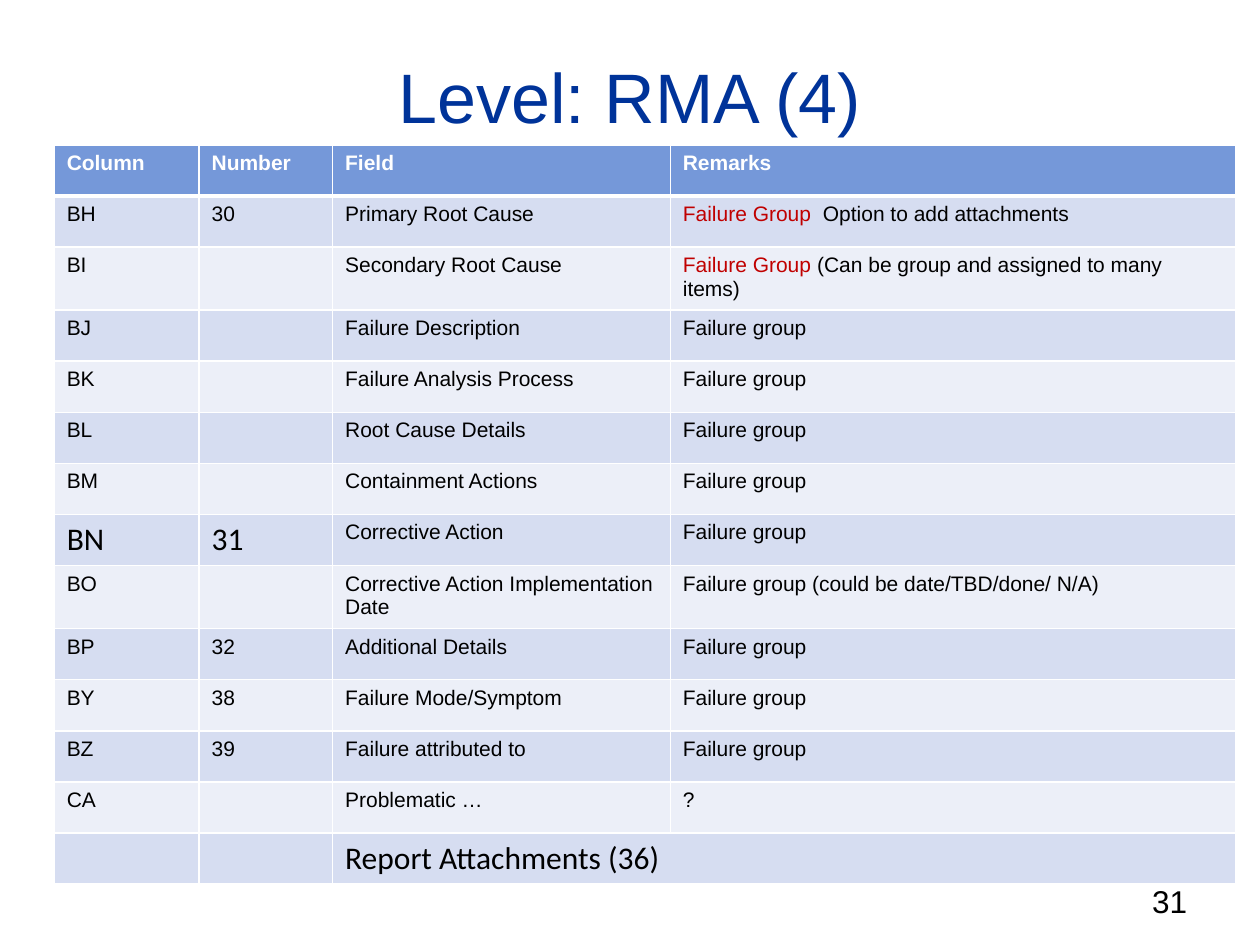
from lxml.etree import SubElement
from pptx import Presentation
from pptx.dml.color import RGBColor
from pptx.enum.text import MSO_ANCHOR as Anchor, PP_ALIGN as Align
from pptx.oxml import parse_xml
from pptx.oxml.ns import nsdecls, qn
from pptx.util import Inches, Pt

WHITE = RGBColor(0xFF, 0xFF, 0xFF)
BLACK = RGBColor(0, 0, 0)
NAVY = RGBColor(0x00, 0x33, 0x99)
RED = RGBColor(0xC0, 0x00, 0x00)
HEADER = RGBColor(0x75, 0x98, 0xD9)
BANDS = (RGBColor(0xD6, 0xDD, 0xF1), RGBColor(0xEC, 0xEF, 0xF8))

BODY = {"name": "Arial", "size": Pt(12), "bold": False}
LARGE = {"name": "Calibri", "size": Pt(18)}
GROUP = "Failure group"

COLUMNS = (1.15, 1.06, 2.68, 4.49)
ROWS = [
    ("Column", "Number", "Field", "Remarks"),
    ("BH", "30", "Primary Root Cause",
     [("Failure Group  ", RED), ("Option to add attachments", BLACK)]),
    ("BI", "", "Secondary Root Cause",
     [("Failure Group ", RED), ("(Can be group and assigned to many items)", BLACK)]),
    ("BJ", "", "Failure Description", GROUP),
    ("BK", "", "Failure Analysis Process", GROUP),
    ("BL", "", "Root Cause Details", GROUP),
    ("BM", "", "Containment Actions", GROUP),
    ("BN", "31", "Corrective Action", GROUP),
    ("BO", "", "Corrective Action Implementation Date",
     "Failure group (could be date/TBD/done/ N/A)"),
    ("BP", "32", "Additional Details", GROUP),
    ("BY", "38", "Failure Mode/Symptom", GROUP),
    ("BZ", "39", "Failure attributed to", GROUP),
    ("CA", "", "Problematic …", "?"),
    ("", "", "Report Attachments (36)", ""),
]
LARGE_CELLS = {(7, 0), (7, 1), (13, 2)}


class SlideBuilder:
    def __init__(self, page):
        self.page = page

    def format(self, font, color, values):
        for key, value in (BODY | values).items():
            setattr(font, key, value)
        font.color.rgb = color

    def text(self, place, words, size, color, align, anchor):
        box = self.page.shapes.add_textbox(*map(Inches, place))
        frame = box.text_frame
        frame.word_wrap = True
        frame.vertical_anchor = anchor
        para = frame.paragraphs[0]
        para.alignment = align
        span = para.add_run()
        span.text = words
        self.format(span.font, color, {"size": Pt(size)})

    def borders(self, cell, bottom):
        properties = cell._tc.get_or_add_tcPr()
        for index, side in enumerate("LRTB"):
            width = Pt(bottom if side == "B" else 1)
            line = parse_xml(f'<a:ln{side} {nsdecls("a")} w="{width}"/>')
            fill = SubElement(line, qn("a:solidFill"))
            SubElement(fill, qn("a:srgbClr"), val=str(WHITE))
            properties.insert(index, line)

    def cell(self, cell, content, fill, color, values, bottom=1):
        cell.fill.solid()
        cell.fill.fore_color.rgb = fill
        self.borders(cell, bottom)
        para = cell.text_frame.paragraphs[0]
        self.format(para.font, color, values)
        spans = content if isinstance(content, list) else [(content, color)]
        for words, shade in spans:
            if words:
                span = para.add_run()
                span.text = words
                self.format(span.font, shade, values)

    def table(self, left, top, height, widths, rows):
        frame = self.page.shapes.add_table(
            len(rows), len(widths), Inches(left), Inches(top),
            Inches(sum(widths)), Inches(height))
        table = frame.table
        for column, width in zip(table.columns, widths):
            column.width = Inches(width)
        for r, row in enumerate(rows):
            table.rows[r].height = Inches(height / len(rows))
            for c, content in enumerate(row):
                cell = table.cell(r, c)
                if r == 0:
                    self.cell(cell, content, HEADER, WHITE, {"bold": True}, bottom=3)
                else:
                    values = LARGE if (r, c) in LARGE_CELLS else {}
                    self.cell(cell, content, BANDS[(r - 1) % 2], BLACK, values)
        return table


def main():
    deck = Presentation()
    deck.slide_width, deck.slide_height = Inches(10), Inches(7.5)
    builder = SlideBuilder(deck.slides.add_slide(deck.slide_layouts[6]))

    # Title
    builder.text((0.5, 0.28, 9, 0.95), "Level: RMA (4)", 40, NAVY,
                 Align.CENTER, Anchor.MIDDLE)

    # Field table, with the last row's field spanning the remarks
    table = builder.table(0.43, 1.15, 5.68, COLUMNS, ROWS)
    last = len(ROWS) - 1
    table.cell(last, 2).merge(table.cell(last, 3))

    # Page number
    builder.text((7.19, 6.95, 2.33, 0.4), "31", 18, BLACK, Align.RIGHT, Anchor.TOP)

    deck.save("out.pptx")


if __name__ == "__main__":
    main()
